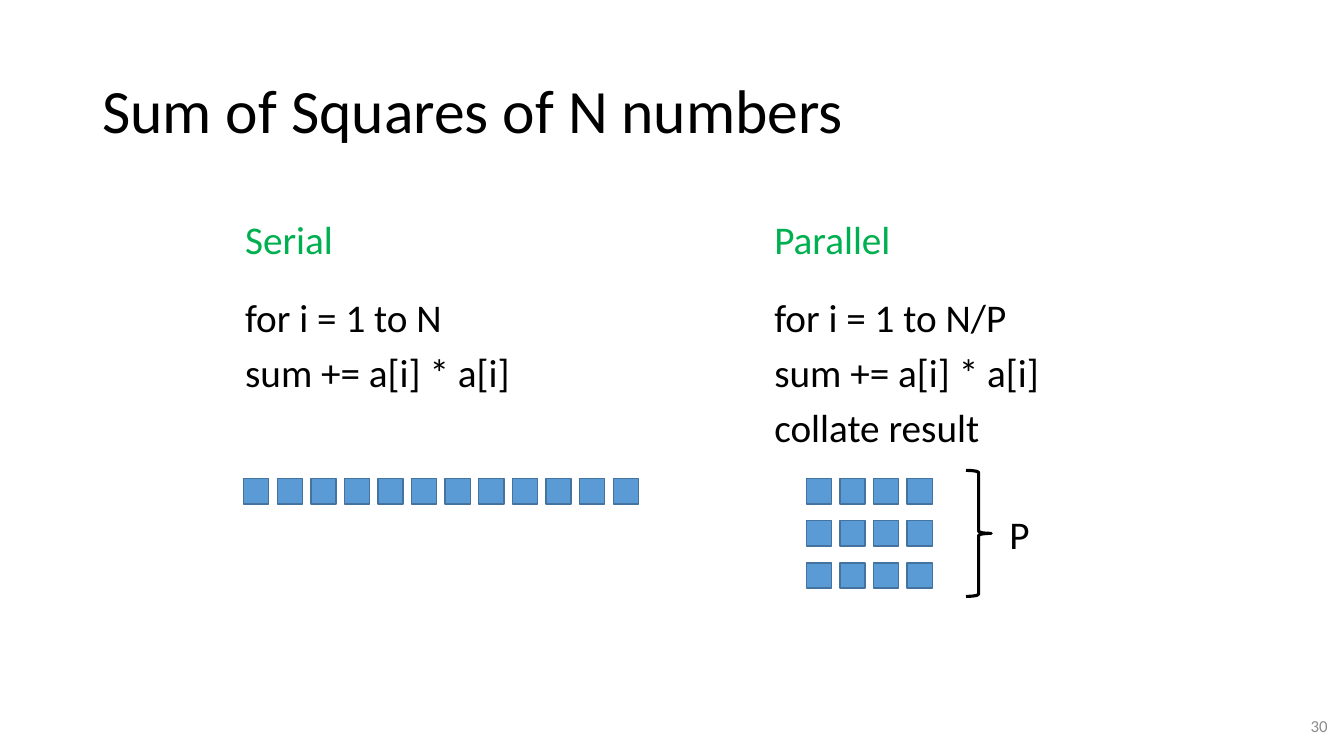
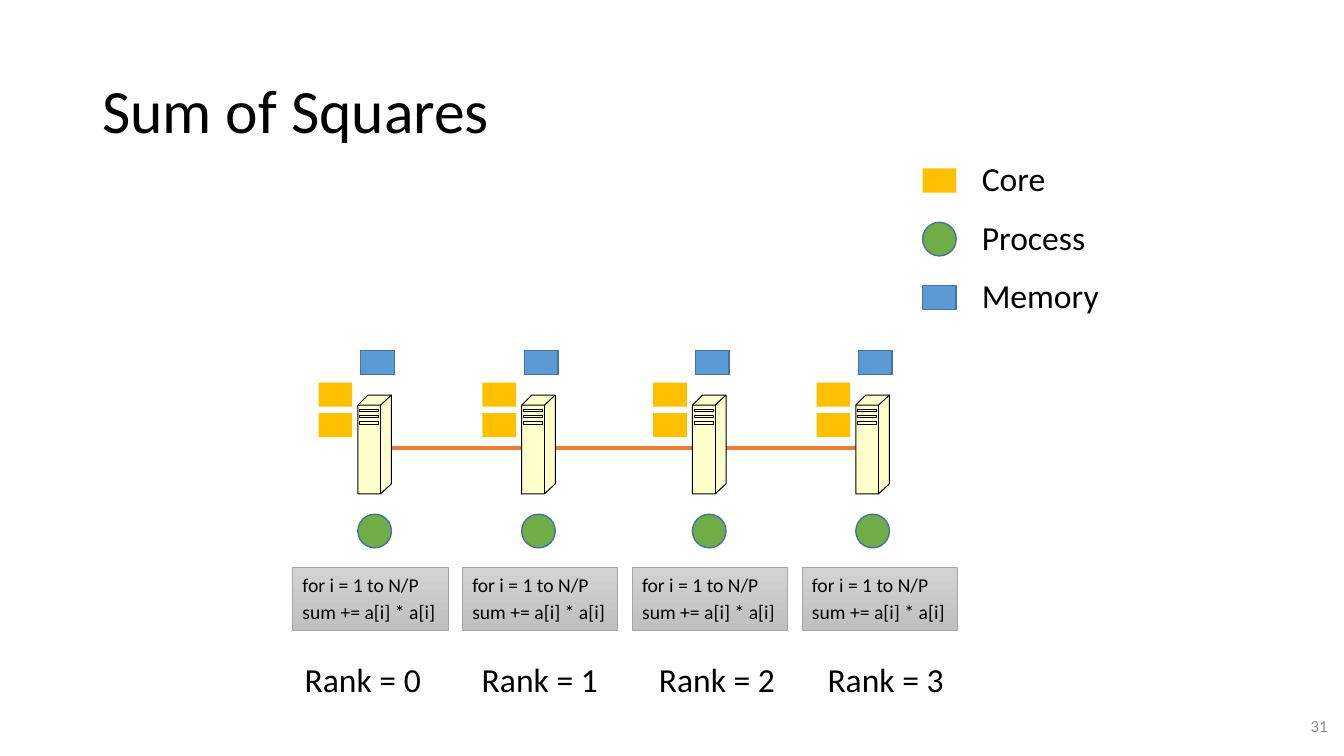
from pptx import Presentation
from pptx.dml.color import RGBColor
from pptx.enum.shapes import MSO_CONNECTOR, MSO_SHAPE
from pptx.enum.text import MSO_ANCHOR, PP_ALIGN
from pptx.util import Pt
from lxml import etree

RECT, OVAL, BRACE = MSO_SHAPE.RECTANGLE, MSO_SHAPE.OVAL, MSO_SHAPE.RIGHT_BRACE
LINE = MSO_CONNECTOR.STRAIGHT
TOP, MIDDLE = MSO_ANCHOR.TOP, MSO_ANCHOR.MIDDLE
LEFT, RIGHT = PP_ALIGN.LEFT, PP_ALIGN.RIGHT
DRAW = "http://schemas.openxmlformats.org/drawingml/2006/main"

FONT = "Calibri"
BLACK, GREY, GREEN = "000000", "8C8C8C", "00B050"
BLUE, EDGE, LEAF, GOLD = "5B9BD5", "43739E", "70AD47", "FFC000"
CREAM, ORANGE = "FFFFCC", "ED7D31"
SILVER, RIM = ("D2D2D2", "C0C0C0"), "A5A5A5"

LOOP = ["for i = 1 to N/P", "sum += a[i] * a[i]"]


def hue(code):
    return RGBColor.from_string(code)


def write(frame, lines, size=28, color=BLACK, align=LEFT, anchor=TOP, gap=0.2, pitch=None):
    frame.word_wrap = True
    frame.vertical_anchor = anchor
    for i, line in enumerate(lines):
        para = frame.add_paragraph() if i else frame.paragraphs[0]
        para.alignment = align
        para.line_spacing = pitch
        if i:
            para.space_before = Pt(size * gap)
        run = para.add_run()
        run.text = line
        run.font.name = FONT
        run.font.size = Pt(size)
        run.font.color.rgb = hue(color)


class Deck:
    """Holds the shared style and the slide being built."""

    def __init__(self):
        self.show = Presentation()
        self.show.slide_width, self.show.slide_height = Pt(960), Pt(540)
        self.shapes = None

    def start(self, title, number):
        self.shapes = self.show.slides.add_slide(self.show.slide_layouts[6]).shapes
        self.text([title], 66, 28.8, 828, 104.4, size=44, anchor=MIDDLE, pitch=0.9)
        self.text([str(number)], 739.4, 504, 216, 28.8, size=12, color=GREY,
                  align=RIGHT, anchor=MIDDLE)

    def text(self, lines, x, y, w, h, **style):
        box = self.shapes.add_textbox(Pt(x), Pt(y), Pt(w), Pt(h))
        write(box.text_frame, lines, **style)

    def paint(self, shape, fill, edge, width):
        shape.shadow.inherit = False
        if fill is None:
            shape.fill.background()
        elif isinstance(fill, tuple):
            shape.fill.gradient()
            shape.fill.gradient_angle = 270
            for stop, code in zip(shape.fill.gradient_stops, fill):
                stop.color.rgb = hue(code)
        else:
            shape.fill.solid()
            shape.fill.fore_color.rgb = hue(fill)
        if edge is None:
            shape.line.fill.background()
        else:
            shape.line.color.rgb = hue(edge)
            shape.line.width = Pt(width)

    def shape(self, kind, x, y, w, h, fill=None, edge=None, width=1):
        item = self.shapes.add_shape(kind, Pt(x), Pt(y), Pt(w), Pt(h))
        self.paint(item, fill, edge, width)
        return item

    def outline(self, x, y, paths, fill=None, close=False):
        spots = [[(Pt(x + a), Pt(y + b)) for a, b in path] for path in paths]
        pen = self.shapes.build_freeform(*spots[0][0])
        for i, path in enumerate(spots):
            if i:
                pen.move_to(*path[0])
            pen.add_line_segments(path[1:], close=close)
        self.paint(pen.convert_to_shape(), fill, BLACK, 0.75)

    def wire(self, x, y, end, color, width):
        link = self.shapes.add_connector(LINE, Pt(x), Pt(y), Pt(end), Pt(y))
        link.line.color.rgb = hue(color)
        link.line.width = Pt(width)
        etree.SubElement(link._element.spPr, f"{{{DRAW}}}effectLst")

    def grid(self, x, y, cols, rows):
        for row in range(rows):
            for col in range(cols):
                self.shape(RECT, x + 24 * col, y + 30 * row, 18, 18, BLUE, EDGE)

    def core(self, x, y):
        self.shape(RECT, x, y, 24, 17.3, GOLD)

    def memory(self, x, y):
        self.shape(RECT, x, y, 24, 17.3, BLUE, EDGE)

    def process(self, x, y):
        self.shape(OVAL, x, y, 24, 24, LEAF, EDGE)

    def server(self, x, y):
        body = [(0, 7.2), (7.2, 0), (24, 0), (24, 63.4), (16.2, 70.6), (0, 70.6)]
        folds = [[(0, 7.2), (16.2, 7.2), (24, 0)], [(16.2, 7.2), (16.2, 70.6)]]
        self.outline(x, y, [body], CREAM, True)
        self.outline(x, y, folds)
        for i in range(3):
            self.shape(RECT, x + 1.3, y + 10 + 4.6 * i, 13.5, 1.5, CREAM, BLACK, 0.75)

    def code(self, x, y):
        box = self.shape(RECT, x, y, 111, 44.6, SILVER, RIM, 0.5)
        write(box.text_frame, LOOP, size=14)


def compare(deck):
    deck.start("Sum of Squares of N numbers", 30)
    plans = [
        (168, "Serial", ["for i = 1 to N", LOOP[1]]),
        (546, "Parallel", LOOP + ["collate result"]),
    ]
    for x, head, steps in plans:
        deck.text([head], x, 150.5, 270, 42, color=GREEN)
        deck.text(steps, x, 206, 270, 122)
    deck.grid(174, 342, 12, 1)
    deck.grid(576, 342, 4, 3)
    deck.shape(BRACE, 690, 336, 18, 90, None, BLACK, 2.25)
    deck.text(["P"], 714, 361, 30, 41)


def cluster(deck):
    deck.start("Sum of Squares", 31)
    keys = [(deck.core, "Core", 17.3), (deck.process, "Process", 24),
            (deck.memory, "Memory", 17.3)]
    for i, (mark, name, tall) in enumerate(keys):
        mid = 129 + 41.8 * i
        mark(659, mid - tall / 2)
        deck.text([name], 694.2, mid - 19.6, 130, 36, size=24)

    nodes = [(255.6, 210.5), (372.6, 337), (494.6, 463.5), (611.3, 584)]
    deck.wire(nodes[0][0], 320, nodes[-1][0], ORANGE, 3)
    for i, (x, label) in enumerate(nodes):
        deck.server(x, 282.2)
        deck.memory(x + 2, 250.3)
        deck.process(x, 367.3)
        for y in (273.3, 295.1):
            deck.core(x - 28, y)
        deck.code(209 + 121.3 * i, 405.6)
        deck.text([f"Rank = {i}"], label, 467.3, 110, 36, size=24)


def main():
    deck = Deck()
    compare(deck)
    cluster(deck)
    deck.show.save("out.pptx")


if __name__ == "__main__":
    main()
